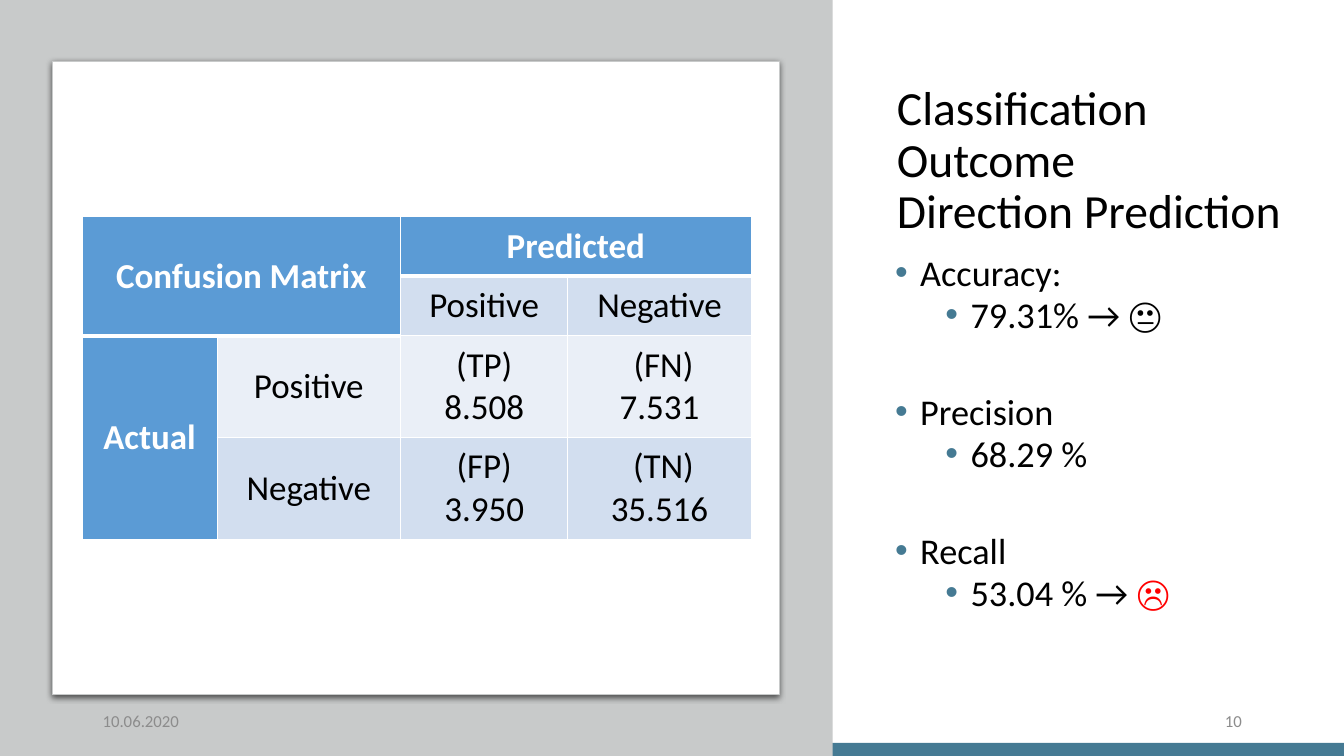
from lxml.etree import SubElement
from pptx import Presentation
from pptx.dml.color import RGBColor
from pptx.enum.shapes import MSO_SHAPE
from pptx.enum.text import MSO_ANCHOR, PP_ALIGN
from pptx.oxml import parse_xml
from pptx.oxml.ns import nsdecls, qn
from pptx.util import Pt

# Content
COLORS = {"teal": "457A93", "grey": "C8CACA", "white": "FFFFFF", "black": "000000",
          "head": "5B9BD5", "band": "D2DEEF", "light": "EAEFF7",
          "red": "FF0000", "muted": "8C8C8C"}
TITLE = "Classification Outcome\vDirection Prediction"
# metric, value, symbol, symbol colour
METRICS = [("Accuracy:", "79.31% → ", "😐", "black"),
           ("Precision", "68.29 %", "", "black"),
           ("Recall", "53.04 % → ", "☹", "red")]
# row, column, text, fill
CELLS = [(0, 0, "Confusion Matrix", "head"), (0, 2, "Predicted", "head"),
         (1, 2, "Positive", "band"), (1, 3, "Negative", "band"),
         (2, 0, "Actual", "head"), (2, 1, "Positive", "light"),
         (2, 2, " (TP) \v8.508", "light"), (2, 3, " (FN)\v7.531", "light"),
         (3, 1, "Negative", "band"),
         (3, 2, " (FP) \v3.950", "band"), (3, 3, " (TN)\v35.516", "band")]
MERGES = [((0, 0), (1, 1)), ((0, 2), (0, 3)), ((2, 0), (3, 0))]
THICK_BOTTOM = [(0, 2), (0, 3), (0, 0), (1, 0), (1, 1)]
COL_WIDTHS = [96.5, 131, 119.5, 131]
ROW_HEIGHTS = [42.5, 42.5, 72.7, 72.7]
# text, left, alignment
FOOTERS = [("10.06.2020", 66.2, PP_ALIGN.LEFT), ("10", 678.2, PP_ALIGN.RIGHT)]

W, H = 960, 540
PANEL_W = 594.7


def rgb(name):
    return RGBColor.from_string(COLORS[name])


def set_all(obj, **values):
    for name, value in values.items():
        setattr(obj, name, value)


def add_run(p, text, size, color="black", font="Calibri", bold=False):
    r = p.add_run()
    r.text = text
    set_all(r.font, size=Pt(size), name=font, bold=bold)
    r.font.color.rgb = rgb(color)


def add_lines(p, text, *style):
    for i, line in enumerate(text.split("\v")):
        if i:
            p.add_line_break()
        add_run(p, line, *style)


def add_box(s, x, y, w, h, anchor):
    tf = s.shapes.add_textbox(Pt(x), Pt(y), Pt(w), Pt(h)).text_frame
    set_all(tf, word_wrap=True, vertical_anchor=anchor)
    return tf


def add_block(s, kind, x, y, w, h, fill):
    sp = s.shapes.add_shape(kind, Pt(x), Pt(y), Pt(w), Pt(h))
    sp.shadow.inherit = False
    sp.fill.solid()
    sp.fill.fore_color.rgb = rgb(fill)
    sp.line.fill.background()
    return sp


def add_bullet(p, left):
    pPr = p._p.get_or_add_pPr()
    pPr.set("marL", str(Pt(left)))
    pPr.set("indent", str(Pt(-18)))
    SubElement(SubElement(pPr, qn("a:buClr")), qn("a:srgbClr"), val=COLORS["teal"])
    SubElement(pPr, qn("a:buFont"), typeface="Arial")
    SubElement(pPr, qn("a:buChar"), char="•")


def add_borders(cell, bottom):
    tcPr = cell._tc.get_or_add_tcPr()
    for side, width in (("L", 1), ("R", 1), ("T", 1), ("B", bottom)):
        ln = SubElement(tcPr, qn(f"a:ln{side}"), w=str(Pt(width)))
        SubElement(SubElement(ln, qn("a:solidFill")), qn("a:srgbClr"), val=COLORS["white"])


prs = Presentation()
set_all(prs, slide_width=Pt(W), slide_height=Pt(H))
s = prs.slides.add_slide(prs.slide_layouts[6])

# Bottom bar, grey panel and white card
add_block(s, MSO_SHAPE.RECTANGLE, 0, 530.6, W, H - 530.6, "teal")
add_block(s, MSO_SHAPE.RECTANGLE, 0, 0, PANEL_W, H, "grey")
card = add_block(s, MSO_SHAPE.ROUNDED_RECTANGLE, 37.4, 43.9, 519.1, 452.2, "white")
card.adjustments[0] = 0
card.line.color.rgb = rgb("grey")
card.line.width = Pt(0.75)
effects = card._element.spPr.find(qn("a:effectLst"))
effects.append(parse_xml(
    f'<a:outerShdw {nsdecls("a")} blurRad="{Pt(4.5)}" dist="{Pt(1.5)}" dir="5400000" '
    'algn="ctr" rotWithShape="0"><a:srgbClr val="000000"><a:alpha val="63000"/>'
    '</a:srgbClr></a:outerShdw>'))

# Title
tf = add_box(s, 633.6, 49.7, 288.7, 131.8, MSO_ANCHOR.MIDDLE)
tf.margin_right = Pt(3)
p = tf.paragraphs[0]
p.line_spacing = 0.9
add_lines(p, TITLE, 34)

# Metrics
tf = add_box(s, 632.2, 154.8, 288.7, 297.4, MSO_ANCHOR.TOP)
tf.margin_top = Pt(30)
for i, (metric, value, symbol, color) in enumerate(METRICS):
    p = tf.add_paragraph() if i else tf.paragraphs[0]
    add_bullet(p, 18)
    set_all(p, line_spacing=0.8, space_before=Pt(44.5 if i else 0))
    add_run(p, metric, 25.9)
    p = tf.add_paragraph()
    add_bullet(p, 54)
    set_all(p, level=1, line_spacing=0.8, space_before=Pt(5))
    add_run(p, value, 25.9)
    if symbol:
        add_run(p, symbol, 25.9, color, "Arial")

# Confusion matrix
table = s.shapes.add_table(4, 4, Pt(58.6), Pt(154.8), Pt(sum(COL_WIDTHS)),
                           Pt(sum(ROW_HEIGHTS))).table
set_all(table, first_row=False, horz_banding=False)
for col, width in zip(table.columns, COL_WIDTHS):
    col.width = Pt(width)
for row, height in zip(table.rows, ROW_HEIGHTS):
    row.height = Pt(height)
for start, end in MERGES:
    table.cell(*start).merge(table.cell(*end))
for r in range(4):
    for c in range(4):
        cell = table.cell(r, c)
        add_borders(cell, 3 if (r, c) in THICK_BOTTOM else 1)
        cell.fill.solid()
        cell.fill.fore_color.rgb = rgb("head")
for r, c, text, fill in CELLS:
    cell = table.cell(r, c)
    cell.fill.fore_color.rgb = rgb(fill)
    set_all(cell, vertical_anchor=MSO_ANCHOR.MIDDLE, margin_left=Pt(10),
            margin_right=Pt(10), margin_top=Pt(5), margin_bottom=Pt(5))
    p = cell.text_frame.paragraphs[0]
    p.alignment = PP_ALIGN.CENTER
    is_head = fill == "head"
    add_lines(p, text, 25, "white" if is_head else "black", "Calibri", is_head)

# Date and slide number
for text, x, align in FOOTERS:
    p = add_box(s, x, 500.4, 216, 28.8, MSO_ANCHOR.MIDDLE).paragraphs[0]
    p.alignment = align
    add_run(p, text, 12, "muted")

prs.save("out.pptx")
